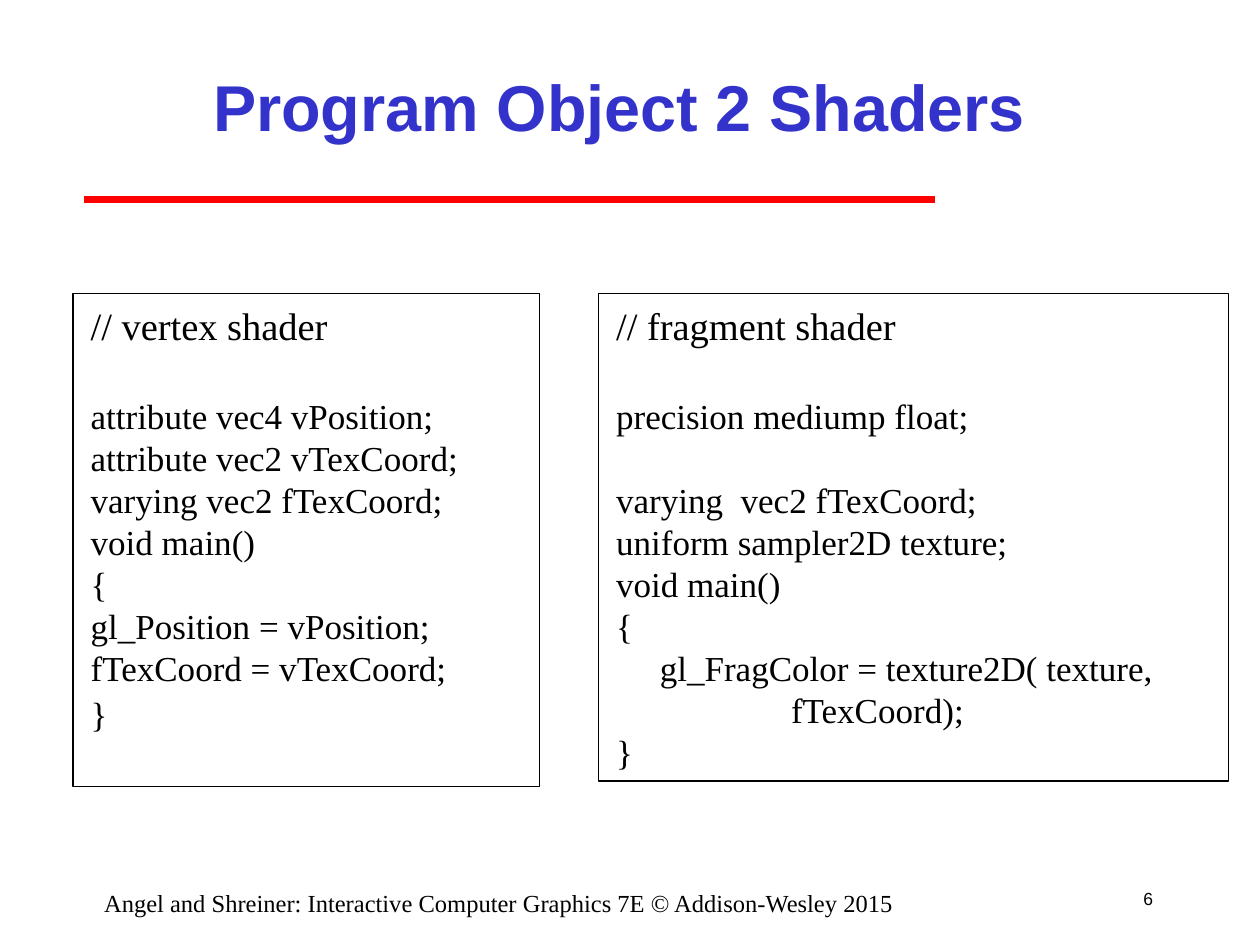
from pptx import Presentation
from pptx.dml.color import RGBColor
from pptx.enum.shapes import MSO_CONNECTOR, MSO_SHAPE
from pptx.enum.text import MSO_ANCHOR, PP_ALIGN
from pptx.oxml.ns import qn
from pptx.util import Inches, Pt
from lxml.etree import SubElement

COLORS = {"title": "3333CC", "rule": "FF0000", "text": "000000"}
SANS, SERIF = "Arial", "Times New Roman"
HEADING, CODE = 22, 20
LINE_FACTOR = 1.2
HEADING_GAP, CODE_GAP = HEADING * LINE_FACTOR, CODE * LINE_FACTOR

# Each code line is its text, with the space above it in points.
VERTEX_CODE = [
    ("attribute vec4 vPosition;", HEADING_GAP),
    ("attribute vec2 vTexCoord;", 0),
    ("varying vec2 fTexCoord;", 0),
    ("void main()", 0),
    ("{", 0),
    ("gl_Position = vPosition;", 0),
    ("fTexCoord = vTexCoord;", 0),
    ("}", 2),
]
FRAGMENT_CODE = [
    ("precision mediump float;", HEADING_GAP),
    ("varying  vec2 fTexCoord;", CODE_GAP),
    ("uniform sampler2D texture;", 0),
    ("void main()", 0),
    ("{", 0),
    ("     gl_FragColor = texture2D( texture,", 0),
    ("                    fTexCoord);", 0),
    ("}", 0),
]


def color(name):
    return RGBColor.from_string(COLORS[name])


class ShaderSlide:
    def __init__(self, deck):
        self.page = deck.slides.add_slide(deck.slide_layouts[5])

    def style(self, para, size, font, tint="text", bold=False):
        for span in para.runs:
            span.font.size = Pt(size)
            span.font.name = font
            span.font.bold = bold
            span.font.color.rgb = color(tint)

    def rule(self, left, right, top):
        line = self.page.shapes.add_connector(
            MSO_CONNECTOR.STRAIGHT, Inches(left), Inches(top), Inches(right), Inches(top))
        line.line.color.rgb = color("rule")
        line.line.width = Pt(4)
        SubElement(line._element.spPr, qn("a:effectLst"))

    def title(self, text, left, top, width, height):
        box = self.page.shapes.title
        box.left, box.top = Inches(left), Inches(top)
        box.width, box.height = Inches(width), Inches(height)
        box.text_frame.text = text
        box.text_frame.vertical_anchor = MSO_ANCHOR.MIDDLE
        para = box.text_frame.paragraphs[0]
        para.alignment = PP_ALIGN.CENTER
        self.style(para, 37, SANS, "title", bold=True)

    def code_box(self, heading, code, left, width, height):
        box = self.page.shapes.add_shape(
            MSO_SHAPE.RECTANGLE, Inches(left), Inches(2.33), Inches(width), Inches(height))
        box.shadow.inherit = False
        box.fill.background()
        box.line.color.rgb = color("text")
        box.line.width = Pt(0.75)
        frame = box.text_frame
        frame.word_wrap = True
        frame.vertical_anchor = MSO_ANCHOR.TOP
        frame.margin_left = frame.margin_right = Inches(0.14)
        frame.margin_top = frame.margin_bottom = Inches(0.07)
        lines = [(heading, 0, HEADING)] + [(text, gap, CODE) for text, gap in code]
        for index, (text, gap, size) in enumerate(lines):
            para = frame.add_paragraph() if index else frame.paragraphs[0]
            para.text = text
            para.alignment = PP_ALIGN.LEFT
            para.line_spacing = Pt(size * LINE_FACTOR)
            para.space_before = Pt(gap)
            self.style(para, size, SERIF)

    def label(self, text, left, top, width, height, size, font, align, anchor, wrap=True):
        box = self.page.shapes.add_textbox(
            Inches(left), Inches(top), Inches(width), Inches(height))
        frame = box.text_frame
        frame.word_wrap = wrap
        frame.vertical_anchor = anchor
        frame.text = text
        para = frame.paragraphs[0]
        para.alignment = align
        self.style(para, size, font)


def main():
    deck = Presentation()
    deck.slide_width, deck.slide_height = Inches(10), Inches(7.5)
    slide = ShaderSlide(deck)
    slide.rule(0.67, 7.42, 1.58)
    slide.title("Program Object 2 Shaders", 1.5, 0.25, 6.83, 1.17)
    slide.code_box("// vertex shader", VERTEX_CODE, 0.58, 3.7, 3.91)
    slide.code_box("// fragment shader", FRAGMENT_CODE, 4.75, 5, 3.87)
    slide.label("6", 8.83, 6.92, 0.42, 0.42, 10, SANS,
                PP_ALIGN.RIGHT, MSO_ANCHOR.MIDDLE, wrap=False)
    slide.label("Angel and Shreiner: Interactive Computer Graphics 7E © Addison-Wesley 2015",
                0.5, 7, 6.92, 0.25, 14, SERIF, PP_ALIGN.CENTER, MSO_ANCHOR.TOP)
    deck.save("out.pptx")


if __name__ == "__main__":
    main()
